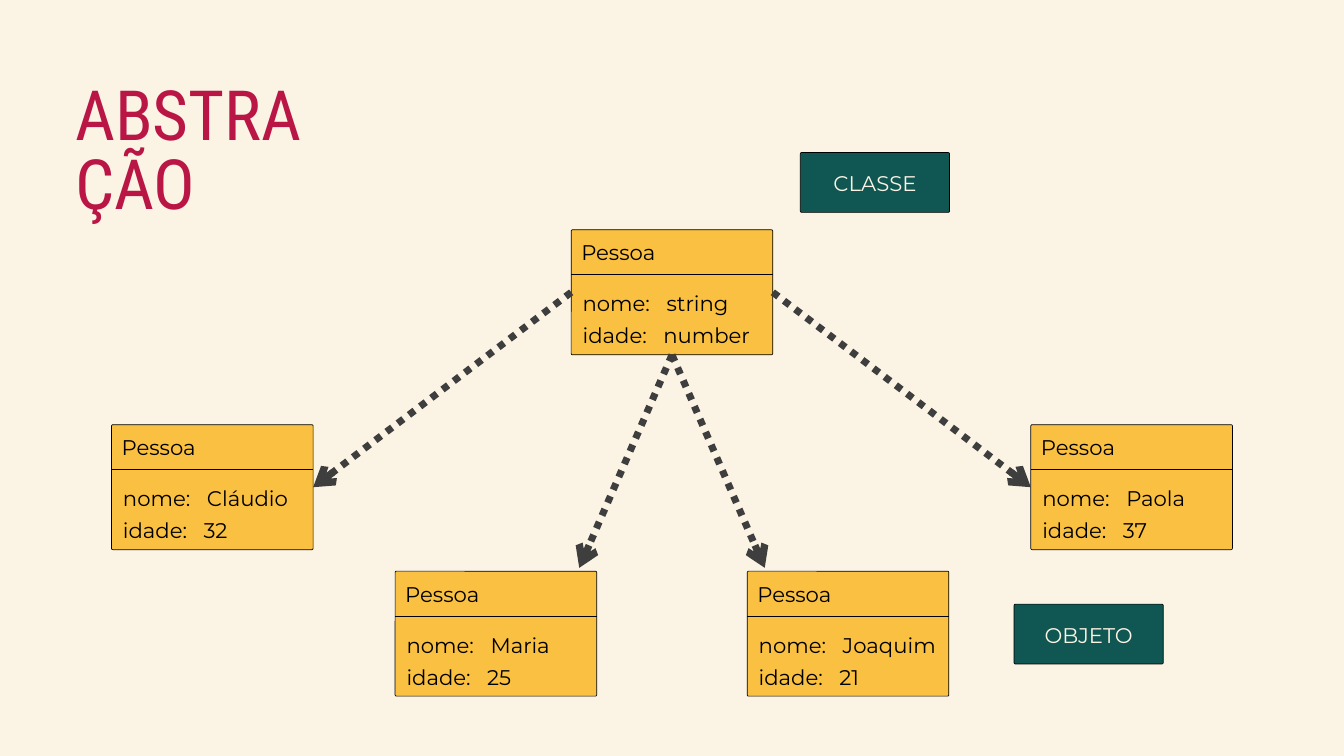
from lxml.etree import SubElement
from pptx import Presentation
from pptx.dml.color import RGBColor
from pptx.enum.dml import MSO_LINE_DASH_STYLE as Dash
from pptx.enum.shapes import MSO_CONNECTOR as Connector, MSO_SHAPE as Shape
from pptx.enum.text import PP_ALIGN as Align
from pptx.oxml.ns import qn
from pptx.util import Inches, Pt

COLORS = {
    "cream": "FBF3E4", "yellow": "F9C041", "green": "105652",
    "red": "B91646", "gray": "3E3E3E", "black": "000000",
}
CARD_W, CARD_H = 3.0, 1.86
LABEL_W, LABEL_H = 2.22, 0.89
BODY = {"name": "Montserrat", "size": Pt(22.7)}
TITLE = {"name": "Roboto Condensed", "size": Pt(74.2)}


def add_text(left, top, width, height, lines, font, color, align, spacing, stops=()):
    box = page.shapes.add_textbox(Inches(left), Inches(top), Inches(width), Inches(height))
    frame = box.text_frame
    frame.word_wrap = True
    for side in ("left", "top", "right", "bottom"):
        setattr(frame, f"margin_{side}", 0)
    for index, line in enumerate(lines):
        para = frame.paragraphs[0] if index == 0 else frame.add_paragraph()
        if stops:
            tabs = SubElement(para._p.get_or_add_pPr(), qn("a:tabLst"))
            SubElement(tabs, qn("a:tab"), pos=str(Inches(stops[index])), algn="l")
        para.alignment = align
        para.line_spacing = Pt(spacing)
        span = para.add_run()
        span.text = line
        for key, value in font.items():
            setattr(span.font, key, value)
        span.font.color.rgb = RGBColor.from_string(COLORS[color])


def add_panel(left, top, width, height, color):
    panel = page.shapes.add_shape(
        Shape.ROUNDED_RECTANGLE, Inches(left), Inches(top), Inches(width), Inches(height))
    panel.adjustments[0] = 0.02 / height
    panel.shadow.inherit = False
    panel.fill.solid()
    panel.fill.fore_color.rgb = RGBColor.from_string(COLORS[color])
    panel.line.color.rgb = RGBColor.from_string(COLORS["black"])
    panel.line.width = Pt(0.75)
    return panel


deck = Presentation()
deck.slide_width, deck.slide_height = Inches(20), Inches(11.25)
page = deck.slides.add_slide(deck.slide_layouts[6])
page.background.fill.solid()
page.background.fill.fore_color.rgb = RGBColor.from_string(COLORS["cream"])

people = [
    ("classe", 8.5, 3.42, "string", "number"),
    ("claudio", 1.66, 6.32, "Cláudio", "32"),
    ("maria", 5.88, 8.5, "Maria", "25"),
    ("joaquim", 11.12, 8.5, "Joaquim", "21"),
    ("paola", 15.34, 6.32, "Paola", "37"),
]
cards = {}
lines = []
for key, left, top, name, age in people:
    cards[key] = add_panel(left, top, CARD_W, CARD_H, "yellow")
    add_text(left + 0.15, top + 0.05, 1.48, 0.44, ["Pessoa"],
             BODY, "black", Align.JUSTIFY, 34.1)
    divider = page.shapes.add_connector(
        Connector.STRAIGHT, Inches(left), Inches(top + 0.67),
        Inches(left + CARD_W), Inches(top + 0.67))
    lines.append((divider, "black", 1))
    add_text(left + 0.17, top + 0.81, 2.69, 0.91, [f"nome:\t{name}", f"idade:\t{age}"],
             BODY, "black", Align.JUSTIFY, 34.1, (1.25, 1.2))

arrows = [
    (3, "paola", 1, 15.34, 7.25),
    (2, None, None, 11.38, 8.45),
    (2, None, None, 8.62, 8.45),
    (1, "claudio", 3, 4.66, 7.25),
]
for start_side, target, end_side, end_x, end_y in arrows:
    arrow = page.shapes.add_connector(
        Connector.STRAIGHT, Inches(10), Inches(5.28), Inches(end_x), Inches(end_y))
    arrow.begin_connect(cards["classe"], start_side)
    if target:
        arrow.end_connect(cards[target], end_side)
    lines.append((arrow, "gray", 7.5))
    arrow.line.dash_style = Dash.ROUND_DOT
    SubElement(arrow.line._get_or_add_ln(), qn("a:tailEnd"), type="arrow")

for line, color, width in lines:
    line.line.color.rgb = RGBColor.from_string(COLORS[color])
    line.line.width = Pt(width)
    SubElement(line._element.spPr, qn("a:effectLst"))

add_text(1.12, 1.26, 3.66, 1.11, ["ABSTRAÇÃO"], TITLE, "red", Align.LEFT, 74.2)
for left, top, label in [(11.91, 2.27, "CLASSE"), (15.09, 8.99, "OBJETO")]:
    add_panel(left, top, LABEL_W, LABEL_H, "green")
    add_text(left + 0.26, top + 0.17, 1.7, 0.46, [label], BODY, "cream", Align.CENTER, 34.1)

deck.save("out.pptx")
